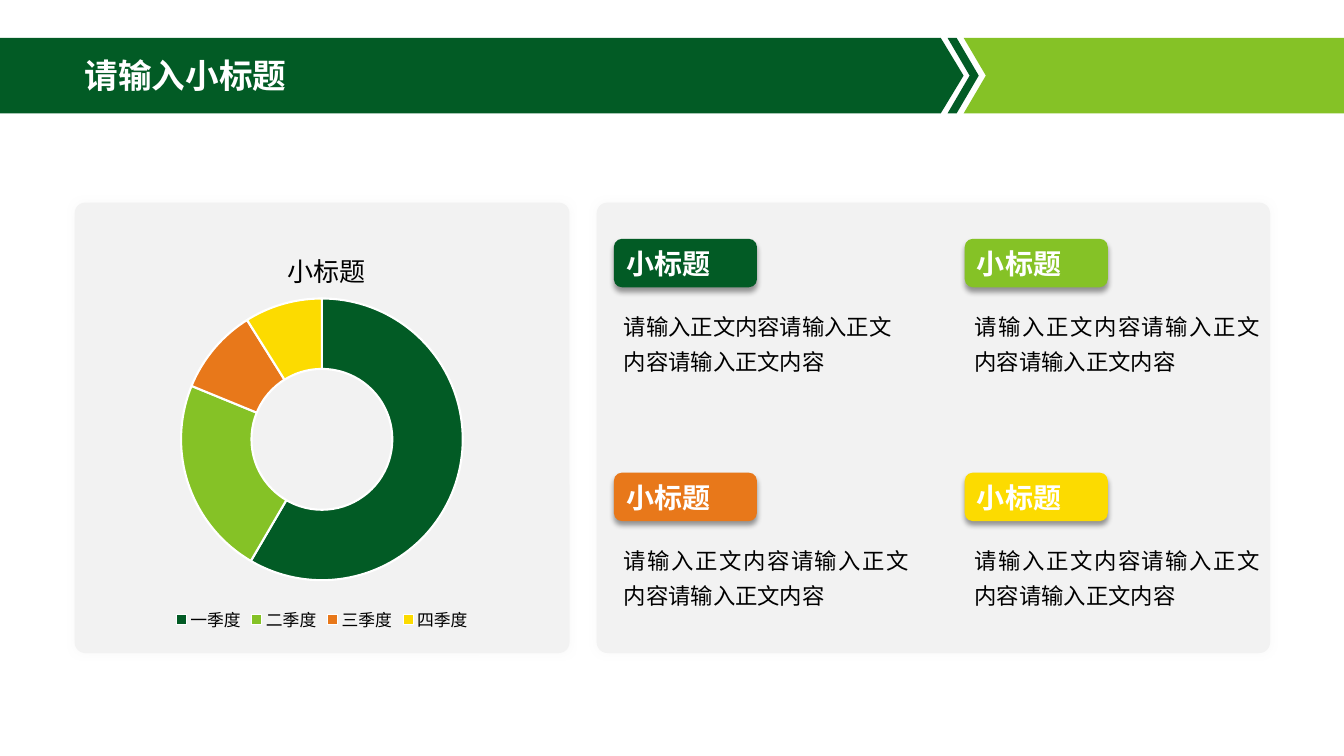
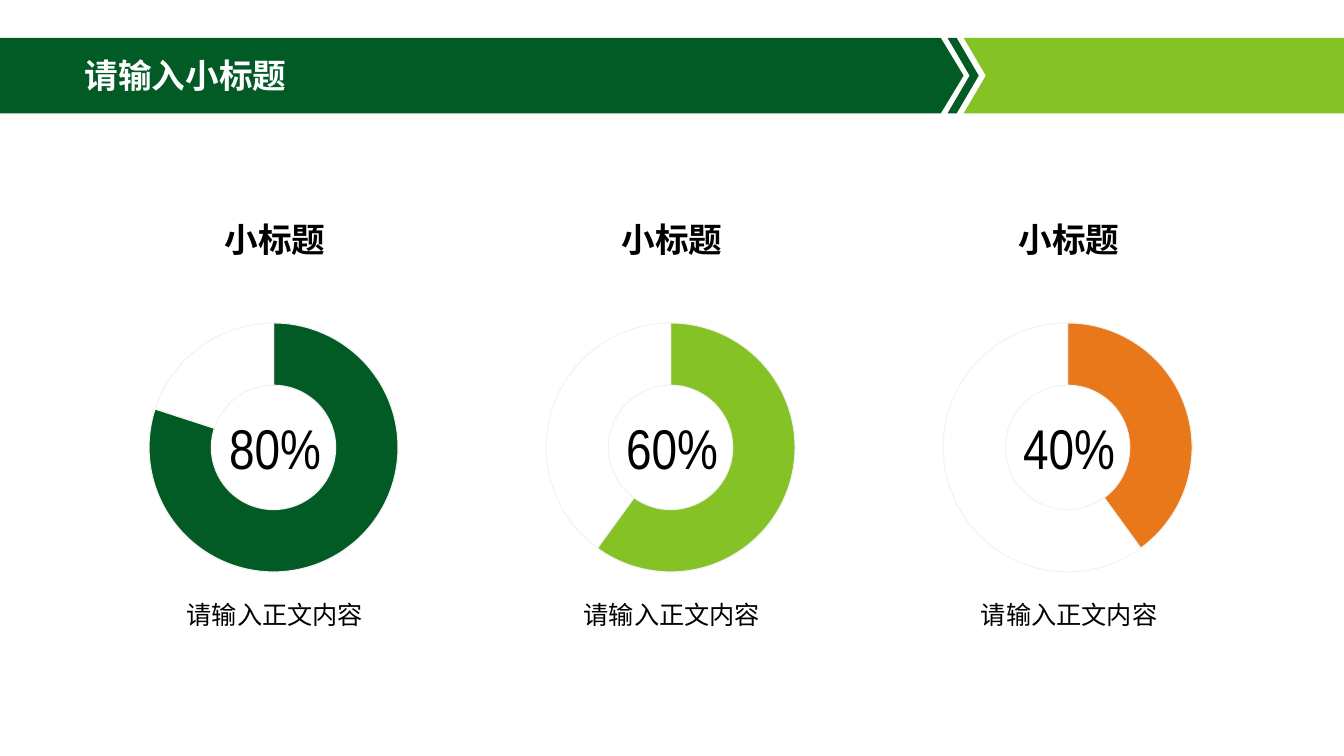
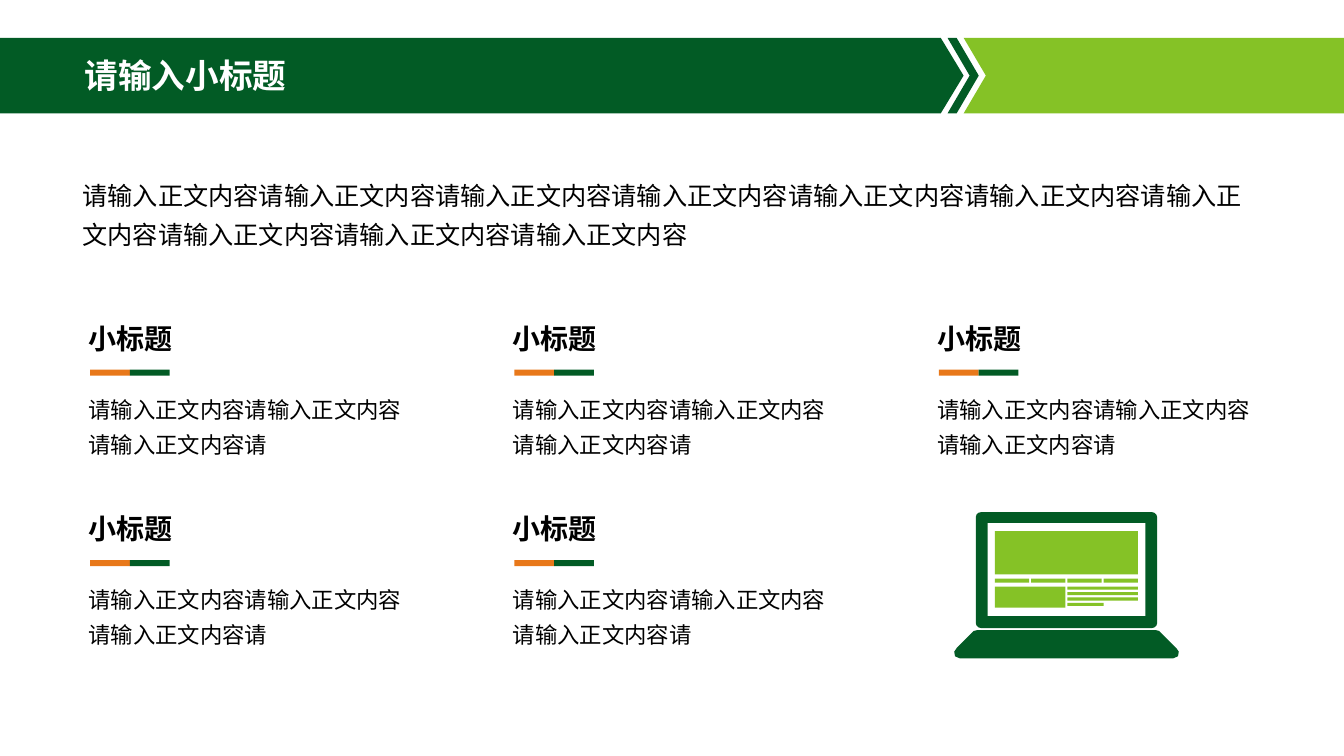
"""Build three slides with a shared title band, doughnut charts and text cards."""
from lxml.etree import SubElement
from pptx import Presentation
from pptx.chart.data import CategoryChartData
from pptx.dml.color import RGBColor
from pptx.enum.chart import XL_CHART_TYPE, XL_LEGEND_POSITION
from pptx.enum.shapes import MSO_SHAPE
from pptx.enum.text import MSO_ANCHOR, PP_ALIGN
from pptx.oxml import parse_xml
from pptx.oxml.ns import nsdecls, qn
from pptx.util import Pt

COLORS = {
    "green": "025B25", "lime": "85C226", "orange": "E8781A", "yellow": "FCDB00",
    "panel": "F2F2F2", "white": "FFFFFF", "black": "000000",
}
ACCENTS = ["green", "lime", "orange", "yellow"]
CJK = "Noto Sans CJK SC"
TITLE = "请输入小标题"
HEADING = "小标题"
BODY = "请输入正文内容"


def rgb(name):
    """Return the named colour."""
    return RGBColor.from_string(COLORS[name])


def write(tf, text, size, color="black", bold=False, font=CJK,
          align=PP_ALIGN.LEFT, spacing=1.0, anchor=MSO_ANCHOR.TOP):
    """Fill a text frame with one formatted paragraph."""
    tf.text = text
    tf.word_wrap = True
    tf.vertical_anchor = anchor
    p = tf.paragraphs[0]
    p.alignment = align
    p.line_spacing = spacing
    for r in p.runs:
        r.font.size = Pt(size)
        r.font.bold = bold
        r.font.name = font
        r.font.color.rgb = rgb(color)
        SubElement(r._r.get_or_add_rPr(), qn("a:ea")).set("typeface", font)


def add_text(s, x, y, w, h, text, size, **style):
    """Add a text box."""
    box = s.shapes.add_textbox(Pt(x), Pt(y), Pt(w), Pt(h))
    write(box.text_frame, text, size, **style)


def paint(sp, color):
    """Give a shape a plain fill with no line or shadow."""
    sp.shadow.inherit = False
    sp.fill.solid()
    sp.fill.fore_color.rgb = rgb(color)
    sp.line.fill.background()


def add_block(shapes, x, y, w, h, color, kind=MSO_SHAPE.RECTANGLE, adj=None):
    """Add a filled preset shape."""
    sp = shapes.add_shape(kind, Pt(x), Pt(y), Pt(w), Pt(h))
    paint(sp, color)
    if adj is not None:
        sp.adjustments[0] = adj
    return sp


def add_outline(shapes, points, color):
    """Add a filled polygon."""
    (x, y), *rest = [(Pt(a), Pt(b)) for a, b in points]
    builder = shapes.build_freeform(x, y)
    builder.add_line_segments(rest, close=True)
    sp = builder.convert_to_shape()
    paint(sp, color)
    return sp


def add_shadow(sp, color, blur, dist, angle):
    """Add an outer shadow at 40 percent opacity."""
    effects = sp.element.spPr.find(qn("a:effectLst"))
    effects.append(parse_xml(
        f'<a:outerShdw {nsdecls("a")} blurRad="{Pt(blur)}" dist="{Pt(dist)}" '
        f'dir="{angle * 60000}" algn="ctr" rotWithShape="0">'
        f'<a:srgbClr val="{COLORS[color]}"><a:alpha val="40000"/></a:srgbClr>'
        '</a:outerShdw>'))


def set_layout(parent, **values):
    """Place a chart part by fractions of the chart area."""
    layout = parent.find(qn("c:layout"))
    if layout is None:
        layout = parent.makeelement(qn("c:layout"))
        parent.insert(0, layout)
    manual = SubElement(layout, qn("c:manualLayout"))
    if "w" in values:
        SubElement(manual, qn("c:layoutTarget")).set("val", "inner")
    for mode in ("xMode", "yMode"):
        SubElement(manual, qn(f"c:{mode}")).set("val", "edge")
    for key, value in values.items():
        SubElement(manual, qn(f"c:{key}")).set("val", str(value))


def add_doughnut(s, x, y, w, h, cats, vals, fills, line, width, hole, area):
    """Add a doughnut chart with one fill per point."""
    data = CategoryChartData()
    data.categories = cats
    data.add_series("Series 1", vals)
    chart = s.shapes.add_chart(
        XL_CHART_TYPE.DOUGHNUT, Pt(x), Pt(y), Pt(w), Pt(h), data).chart
    chart.has_title = False
    chart.has_legend = False
    chart.font.name = "Arial"
    chart.font.size = Pt(10)
    chart.font.color.rgb = rgb("black")
    plot = chart.plots[0]
    plot.vary_by_categories = True
    for i, fill in enumerate(fills):
        fmt = plot.series[0].points[i].format
        if fill:
            fmt.fill.solid()
            fmt.fill.fore_color.rgb = rgb(fill)
        else:
            fmt.fill.background()
        fmt.line.color.rgb = rgb(line)
        fmt.line.width = Pt(width)
    chart.element.find(".//" + qn("c:holeSize")).set("val", str(hole))
    set_layout(chart.element.find(".//" + qn("c:plotArea")), **area)
    return chart


def style_layout(layout, s):
    """Put the title band and title position on the layout."""
    top, mid, low = 27, 54, 81
    bands = [
        ([(0, top), (672, top), (688.3, mid), (672, low), (0, low)], "green"),
        ([(676.8, top), (683.3, top), (699.1, mid), (683.3, low),
          (676.8, low), (692.6, mid)], "green"),
        ([(688.3, top), (960, top), (960, low), (688.3, low), (704.2, mid)], "lime"),
    ]
    for i, (points, color) in enumerate(bands):
        layout.shapes.element.insert(2 + i, add_outline(s.shapes, points, color).element)
    title = next(ph for ph in layout.placeholders if ph.placeholder_format.idx == 0)
    title.left, title.top, title.width, title.height = Pt(53.3), Pt(31.7), Pt(597.6), Pt(47.5)


def add_slide(prs, layout):
    """Add a slide with its formatted title."""
    s = prs.slides.add_slide(layout)
    write(s.shapes.title.text_frame, TITLE, 24, "white", True,
          spacing=0.9, anchor=MSO_ANCHOR.MIDDLE)
    return s


def add_panel(s, x, w):
    """Add a pale rounded panel."""
    sp = add_block(s.shapes, x, 144.7, w, 321.8, "panel", MSO_SHAPE.ROUNDED_RECTANGLE, 0.024)
    add_shadow(sp, "panel", 5, 0, 0)


def add_card(s, x, y, color, align):
    """Add a coloured heading chip with body text below."""
    add_text(s, x, y + 43.9, 218.2, 58.3, BODY * 3, 16, align=align, spacing=1.3)
    chip = add_block(s.shapes, x, y, 102.2, 34.6, color, MSO_SHAPE.ROUNDED_RECTANGLE)
    add_shadow(chip, "black", 4, 3, 90)
    write(chip.text_frame, HEADING, 20, "white", True, anchor=MSO_ANCHOR.MIDDLE)


def fill_quarters(s):
    """Draw the quarterly doughnut and four cards."""
    add_panel(s, 426.2, 481)
    add_panel(s, 53.3, 353.5)
    chart = add_doughnut(
        s, 72.7, 155.5, 314.6, 298.8, ["一季度", "二季度", "三季度", "四季度"],
        [59, 23, 10, 9], ACCENTS, "white", 1.5, 50,
        {"x": 0.18, "y": 0.19, "w": 0.64, "h": 0.68})
    chart.has_title = True
    title = chart.chart_title
    write(title.text_frame, HEADING, 18.6, align=PP_ALIGN.CENTER)
    set_layout(title.element, x=0.41, y=0.06)
    chart.has_legend = True
    legend = chart.legend
    legend.position = XL_LEGEND_POSITION.BOTTOM
    legend.include_in_layout = False
    legend.font.size = Pt(12)
    legend.font.name = "Arial"
    legend.font.color.rgb = rgb("black")
    for i, color in enumerate(ACCENTS):
        row, col = divmod(i, 2)
        align = PP_ALIGN.JUSTIFY if i else PP_ALIGN.LEFT
        add_card(s, 438.5 + 250.6 * col, 170.6 + 167 * row, color, align)


def fill_shares(s):
    """Draw three percentage doughnuts."""
    for i, (share, color) in enumerate(zip([80, 60, 40], ACCENTS)):
        mid = 196.4 + 283.6 * i
        add_text(s, mid - 69, 152.6, 138, 36, HEADING, 24, bold=True, align=PP_ALIGN.CENTER)
        add_doughnut(s, mid - 102.2, 220.3, 204.5, 198.7, ["1", "2"],
                     [share, 100 - share], [color, None], "panel", 0.75, 59,
                     {"x": 0.06, "y": 0.05, "w": 0.87, "h": 0.9})
        add_text(s, mid - 64, 291.6, 128, 55.4, f"{share}%", 40,
                 font="Arial Narrow", align=PP_ALIGN.CENTER)
        add_text(s, mid - 87, 424.8, 174, 28.8, BODY, 18, align=PP_ALIGN.CENTER)


def add_topic(s, x, y):
    """Add a heading, a two-colour rule and body text."""
    add_text(s, x, y + 47.5, 237.6, 55.4, BODY * 3 + "请", 16, spacing=1.3)
    add_text(s, x, y, 166.3, 31.7, HEADING, 20, bold=True)
    for i, color in enumerate(["orange", "green"]):
        add_block(s.shapes, x + 8.2 + 28.4 * i, y + 38, 28.4, 4.3, color)


def add_laptop(s):
    """Draw a laptop showing a page of tiles."""
    shapes = s.shapes.add_group_shape().shapes
    mid = 761.8
    add_block(shapes, mid - 64.8, 365.8, 129.6, 82.8, "green",
              MSO_SHAPE.ROUNDED_RECTANGLE, 0.045)
    half = [(63.4, 450), (66.2, 450.7), (78.5, 463), (80.2, 465.5),
            (79.6, 468.8), (76.3, 470.2)]
    left = [(mid - dx, y) for dx, y in reversed(half)]
    add_outline(shapes, [(mid + dx, y) for dx, y in half] + left, "green")
    add_block(shapes, mid - 56.4, 373.7, 112.8, 66.2, "white")
    x = 710.6
    tiles = [(x, 379.4, 102.2, 31), (x, 419, 50.4, 15.1)]
    tiles += [(x + 25.9 * i, 413.3, 24.5, 2.9) for i in range(4)]
    tiles += [(x + 51.8, 419 + 3.9 * i, w, 2.2)
              for i, w in enumerate([50.4, 50.4, 50.4, 25.9])]
    for tile in tiles:
        add_block(shapes, *tile, "lime")


def fill_topics(s):
    """Draw the introduction, five topics and the laptop."""
    add_text(s, 51.8, 118.8, 855.4, 85, BODY * 10, 18, spacing=1.3)
    for i in range(5):
        row, col = divmod(i, 3)
        add_topic(s, 56.2 + 303.1 * col, 226.1 + 136 * row)
    add_laptop(s)


def main():
    """Build and save the presentation."""
    prs = Presentation()
    prs.slide_width, prs.slide_height = Pt(960), Pt(540)
    layout = prs.slide_layouts[5]
    slides = [add_slide(prs, layout) for _ in range(3)]
    style_layout(layout, slides[0])
    for s, fill in zip(slides, [fill_quarters, fill_shares, fill_topics]):
        fill(s)
    prs.save("out.pptx")


if __name__ == "__main__":
    main()
